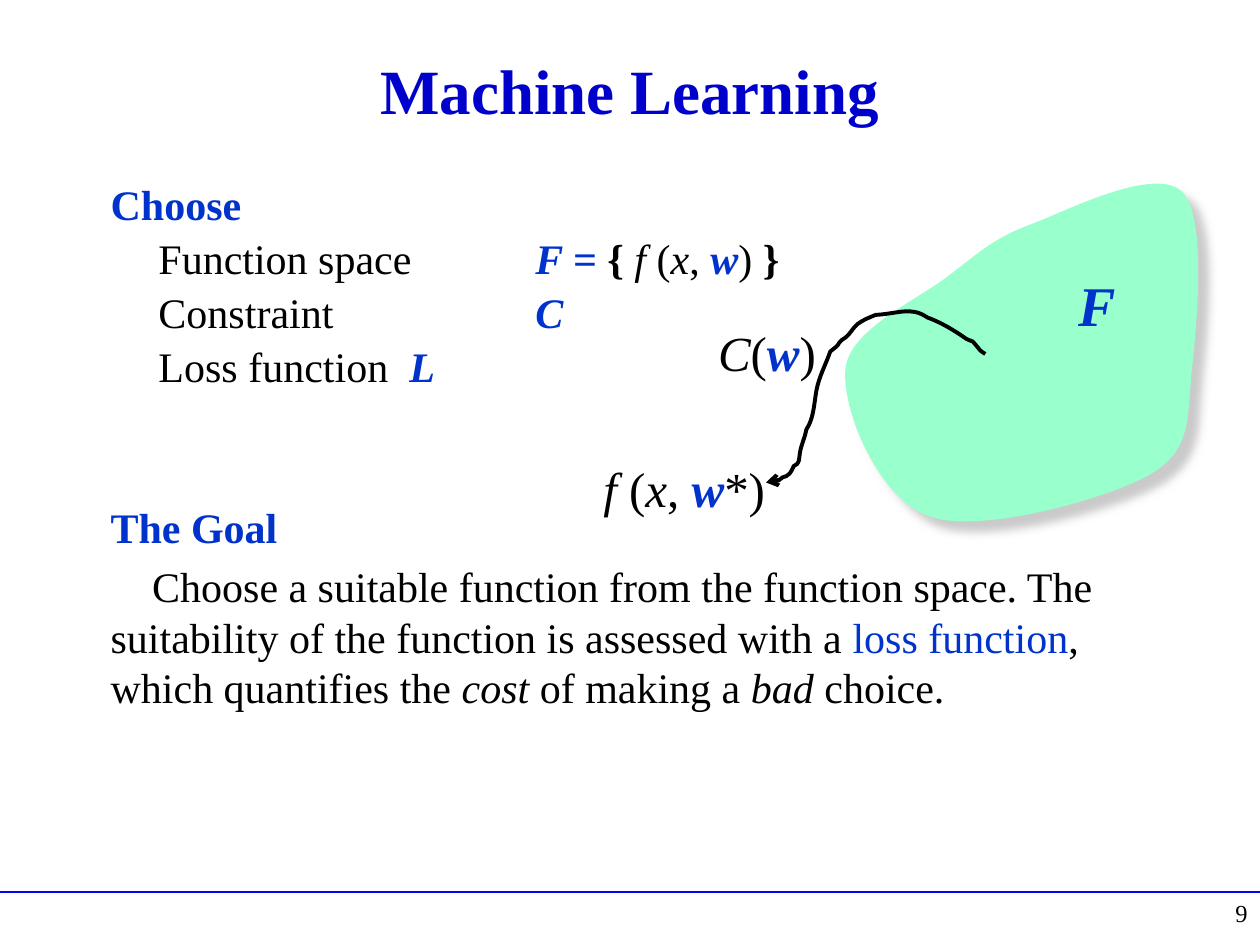
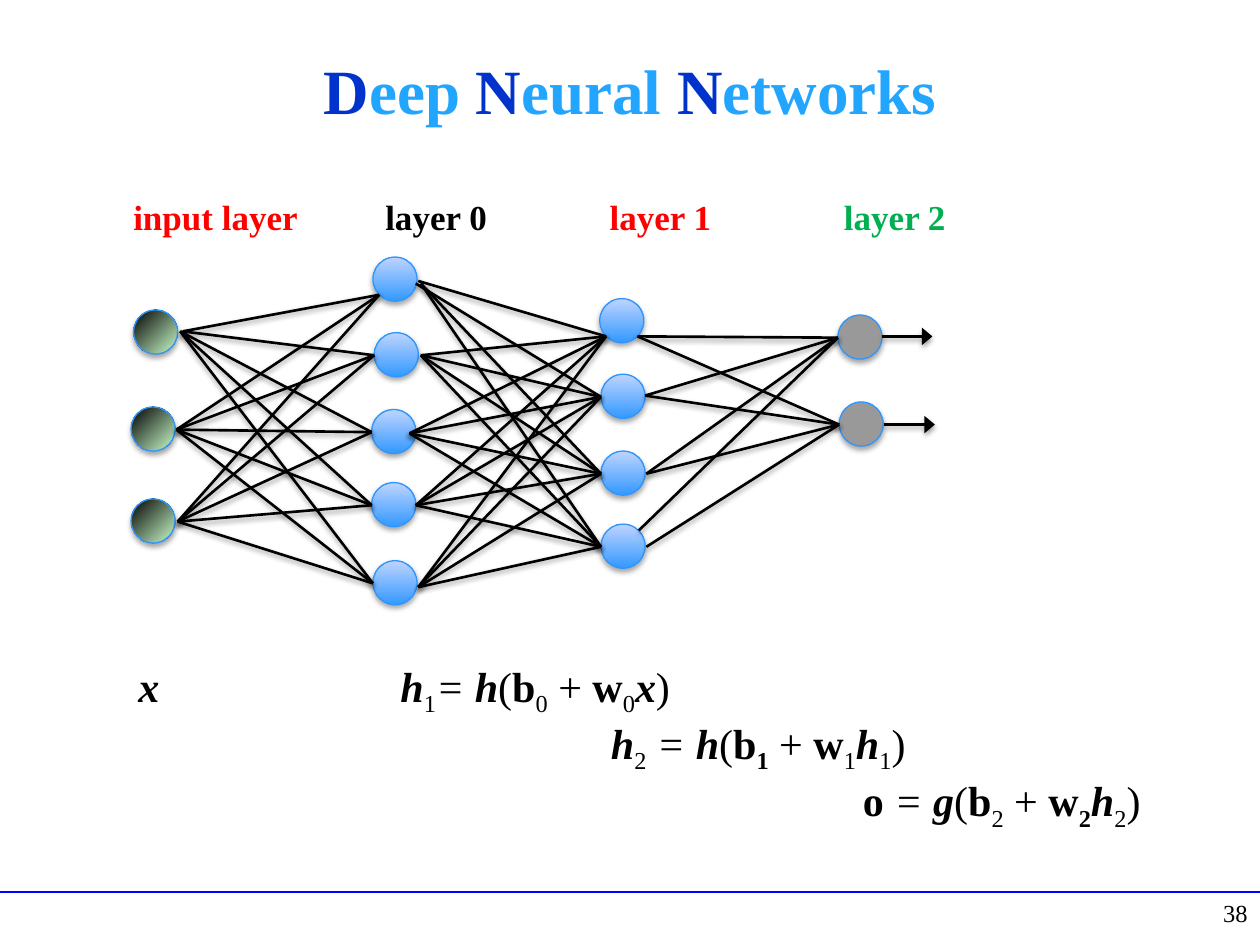
from itertools import product

from lxml.etree import SubElement
from pptx import Presentation
from pptx.dml.color import RGBColor
from pptx.enum.shapes import MSO_CONNECTOR, MSO_SHAPE
from pptx.enum.text import MSO_ANCHOR, PP_ALIGN
from pptx.oxml.ns import qn
from pptx.util import Pt

PX = 9144  # 100 px to the inch
FONT = "Times New Roman"

BLACK = RGBColor(0x00, 0x00, 0x00)
TITLE_BLUE = RGBColor(0x00, 0x00, 0xCC)
BLUE = RGBColor(0x00, 0x33, 0xCC)
SKY = RGBColor(0x22, 0xA5, 0xFF)
RULE_BLUE = RGBColor(0x00, 0x00, 0xFF)
RED = RGBColor(0xFF, 0x00, 0x00)
GREEN = RGBColor(0x00, 0xB0, 0x50)
MINT = RGBColor(0x99, 0xFF, 0xCC)
PALE_GREEN = RGBColor(0xCC, 0xFF, 0xCC)
NODE_DARK = RGBColor(0x33, 0x99, 0xFF)
NODE_LIGHT = RGBColor(0xBF, 0xD4, 0xFF)
NODE_EDGE = RGBColor(0x2D, 0x96, 0xFE)
GREY = RGBColor(0x99, 0x99, 0x99)

# Run styles
PLAIN = {}
BOLD = {"bold": True}
ITALIC = {"italic": True}
BOLD_ITALIC = {"bold": True, "italic": True}
SUB = {"baseline": -25000}
BOLD_SUB = {"bold": True, "baseline": -25000}
LINK = {"color": BLUE}
HEADING = {"bold": True, "color": BLUE}
SYMBOL = {"bold": True, "italic": True, "color": BLUE}


def add_text(slide, box, paragraphs, size, wrap=True, anchor=MSO_ANCHOR.TOP):
    """Each paragraph is a list of (text, style) runs and a dict of formats."""
    frame = slide.shapes.add_textbox(*(n * PX for n in box)).text_frame
    frame.word_wrap = wrap
    frame.vertical_anchor = anchor
    for number, (runs, formats) in enumerate(paragraphs):
        paragraph = frame.add_paragraph() if number else frame.paragraphs[0]
        properties = paragraph._p.get_or_add_pPr()
        for name, value in formats.items():
            if name == "tabs":
                stops = SubElement(properties, qn("a:tabLst"))
                for stop in value:
                    SubElement(stops, qn("a:tab"), pos=str(stop * PX), algn="l")
            elif name == "indent":
                properties.set("indent", str(value * PX))
            else:
                setattr(paragraph, name, value)
        for text, style in runs:
            run = paragraph.add_run()
            run.text = text
            values = {"name": FONT, "size": Pt(size), "bold": False, "italic": False, **style}
            run.font.color.rgb = values.pop("color", BLACK)
            if "baseline" in values:
                run._r.get_or_add_rPr().set("baseline", str(values.pop("baseline")))
            for name, value in values.items():
                setattr(run.font, name, value)


def add_shadow(shape, color=None, alpha=0, blur=0, distance=0, angle=0):
    """Replace the theme shadow by the given one, or by none."""
    effects = SubElement(shape._element.spPr, qn("a:effectLst"))
    if color:
        outer = SubElement(effects, qn("a:outerShdw"), blurRad=str(Pt(blur)), dist=str(Pt(distance)),
                           dir=str(angle * 60000), algn="tl", rotWithShape="0")
        tint = SubElement(outer, qn("a:srgbClr"), val=color)
        SubElement(tint, qn("a:alpha"), val=str(alpha * 1000))


presentation = Presentation()
presentation.slide_width, presentation.slide_height = 1000 * PX, 750 * PX

# Shared title, footer rule and page number
titles = [
    ([("Machine Learning", {"bold": True, "color": TITLE_BLUE})], "9"),
    ([(text, {"bold": True, "color": color}) for text, color in (
        ("D", BLUE), ("eep ", SKY), ("N", BLUE), ("eural ", SKY), ("N", BLUE), ("etworks", SKY))], "38"),
]
for title, page in titles:
    slide = presentation.slides.add_slide(presentation.slide_layouts[6])
    rule = slide.shapes.add_connector(MSO_CONNECTOR.STRAIGHT, 0, 708 * PX, 1000 * PX, 708 * PX)
    rule.line.color.rgb = RULE_BLUE
    rule.line.width = Pt(1)
    add_shadow(rule)
    add_text(slide, (75, 25, 850, 92), [(title, {"alignment": PP_ALIGN.CENTER})], 36,
             anchor=MSO_ANCHOR.MIDDLE)
    add_text(slide, (908, 708, 92, 42), [([(page, PLAIN)], {"alignment": PP_ALIGN.RIGHT})], 14)

learning, networks = presentation.slides

# Machine Learning: choices and goal
row = {"line_spacing": Pt(26), "space_before": Pt(4.8)}
choice = {**row, "tabs": (38, 337)}
add_text(learning, (78, 141, 850, 527), [
    ([("Choose", HEADING)], {"line_spacing": Pt(26)}),
    ([("\tFunction space\t", PLAIN), ("F = ", SYMBOL), ("{ ", BOLD), ("f ", ITALIC), ("(", PLAIN),
      ("x", ITALIC), (", ", PLAIN), ("w", SYMBOL), (") ", PLAIN), ("}", BOLD)], choice),
    ([("\tConstraint\t", PLAIN), ("C", SYMBOL)], choice),
    ([("\tLoss function\t", PLAIN), ("L", SYMBOL)], {**row, "tabs": (38, 237)}),
    ([("The Goal", HEADING)], {**row, "space_before": Pt(66)}),
    ([("Choose a suitable function from the function space. The suitability of the function "
       "is assessed with a ", PLAIN), ("loss function", LINK), (", which quantifies the ", PLAIN),
      ("cost", ITALIC), (" of making a ", PLAIN), ("bad", ITALIC), (" choice.", PLAIN)],
     {"line_spacing": Pt(28.9), "space_before": Pt(4.8), "indent": 33}),
], 24)

# Function space and the path to the chosen function: start, then Bézier triples
space_outline = [
    (754, 218), (729, 238), (674, 261), (671, 293), (668, 325), (697, 396), (738, 410),
    (778, 424), (878, 396), (912, 377), (947, 357), (942, 331), (946, 293),
    (950, 256), (958, 171), (938, 152), (917, 132), (851, 165), (821, 177),
    (790, 188), (779, 199), (754, 218)]
search_path = [
    (782, 281), (776, 277), (780, 280), (772, 271), (770, 270), (768, 270), (767, 269),
    (757, 262), (747, 256), (736, 252), (723, 243), (713, 249), (695, 250),
    (690, 252), (685, 254), (681, 257), (677, 260), (675, 265), (671, 268),
    (670, 269), (669, 269), (668, 270), (666, 271), (666, 273), (665, 274),
    (663, 276), (659, 279), (659, 279), (656, 288), (650, 299), (648, 310),
    (646, 321), (646, 332), (640, 341), (639, 347), (636, 353), (635, 359),
    (634, 365), (635, 368), (630, 370), (628, 375), (626, 378), (621, 379),
    (616, 383), (615, 383), (608, 383)]
curves = []
for points, closed in ((space_outline, True), (search_path, False)):
    builder = learning.shapes.build_freeform(*points[0], scale=PX)
    builder.add_line_segments(points[1:], close=closed)
    curve = builder.convert_to_shape()
    segments = list(curve._element.iter(qn("a:lnTo")))
    for first in range(0, len(segments), 3):
        triple = segments[first:first + 3]
        bezier = SubElement(triple[0].getparent(), qn("a:cubicBezTo"))
        triple[0].addprevious(bezier)
        for segment in triple:
            bezier.append(segment[0])
            segment.getparent().remove(segment)
    curves.append(curve)

space, search = curves
space.fill.solid()
space.fill.fore_color.rgb = MINT
space.line.fill.background()
add_shadow(space, "969696", 50, 5, 8.5, 45)
search.fill.background()
search.line.color.rgb = BLACK
search.line.width = Pt(2.25)
SubElement(search.line._get_or_add_ln(), qn("a:tailEnd"), type="arrow")
add_shadow(search)

labels = [
    ((846, 210, 50, 63), 32, [("F", SYMBOL)]),
    ((469, 359, 157, 57), 28, [("f ", ITALIC), ("(", PLAIN), ("x", ITALIC), (", ", PLAIN),
                               ("w", SYMBOL), ("*)", PLAIN)]),
    ((560, 251, 98, 57), 28, [("C", ITALIC), ("(", PLAIN), ("w", SYMBOL), (")", PLAIN)]),
]
for box, size, runs in labels:
    add_text(learning, box, [(runs, {})], size, wrap=False)

# Deep Neural Networks: formulas of the layers
formulas = [
    ((42, 250), [("\tx\t", BOLD_ITALIC), ("h", BOLD_ITALIC), ("1", SUB), ("= ", ITALIC),
                 ("h", BOLD_ITALIC), ("(", PLAIN), ("b", BOLD), ("0", SUB), (" + ", PLAIN),
                 ("w", BOLD), ("0", SUB), ("x", BOLD_ITALIC), (")", PLAIN)]),
    ((417,), [("\th", BOLD_ITALIC), ("2", SUB), (" = ", ITALIC), ("h", BOLD_ITALIC), ("(", PLAIN),
              ("b", BOLD), ("1", BOLD_SUB), (" + ", PLAIN), ("w", BOLD), ("1", SUB),
              ("h", BOLD_ITALIC), ("1", SUB), (")", PLAIN)]),
    ((617,), [("\to", BOLD), (" = ", ITALIC), ("g", BOLD_ITALIC), ("(", PLAIN), ("b", BOLD),
              ("2", SUB), (" + ", PLAIN), ("w", BOLD), ("2", BOLD_SUB), ("h", BOLD_ITALIC),
              ("2", SUB), (")", PLAIN)]),
]
add_text(networks, (58, 519, 905, 131),
         [(runs, {"line_spacing": Pt(32.7), "tabs": tabs}) for tabs, runs in formulas], 24)

# Layer names
layer_names = (("input layer", RED), ("layer 0", BLACK), ("layer 1", RED), ("layer 2", GREEN))
add_text(networks, (90, 150, 873, 44),
         [([("\t" + name, {"bold": True, "color": color}) for name, color in layer_names],
           {"tabs": (6, 206, 384, 570)})], 20)

# Nodes
NODE = 35
layers = [
    ((PALE_GREEN, BLACK), [(106, 246), (104, 323), (104, 396)]),
    ((NODE_DARK, NODE_LIGHT), [(296, 204), (297, 264), (295, 325), (295, 383), (296, 445)]),
    ((NODE_DARK, NODE_LIGHT), [(476, 237), (477, 297), (477, 358), (477, 416)]),
    ((GREY,), [(665, 250), (666, 319)]),
]
for colors, corners in layers:
    for left, top in corners:
        node = networks.shapes.add_shape(MSO_SHAPE.OVAL, left * PX, top * PX, NODE * PX, NODE * PX)
        if len(colors) == 1:
            node.fill.solid()
            node.fill.fore_color.rgb = colors[0]
        else:
            node.fill.gradient()
            node.fill.gradient_angle = 90
            for stop, color in zip(node.fill.gradient_stops, colors):
                stop.color.rgb = color
        if BLACK in colors:  # input nodes shade from one corner
            gradient = node._element.spPr.find(qn("a:gradFill"))
            gradient.remove(gradient.find(qn("a:lin")))
            radial = SubElement(gradient, qn("a:path"), {"path": "circle"})
            SubElement(radial, qn("a:fillToRect"), l="100000", t="100000")
        node.line.color.rgb = NODE_EDGE
        node.line.width = Pt(0.75)
        add_shadow(node, "000000", 35, 3.1, 1.8, 90)

# Links: every exit of a layer joins every entry of the next
input_exits = [(140, 341), (141, 414)]
layer0_entries = [(301, 234), (297, 282), (295, 343), (295, 401), (296, 463)]
top_exits = [(332, 223), (330, 225), (334, 225), (334, 225)]
layer0_exits = [(334, 282), (325, 344), (330, 401), (332, 466)]
layer1_entries = [(481, 267), (477, 315), (477, 376), (477, 434)]
layer1_exits = [(506, 267), (512, 314), (513, 376)]
links = [
    *product([(145, 263)], layer0_entries[:2]),
    *product([(143, 263)], layer0_entries[2:]),
    *product(input_exits, layer0_entries),
    *zip(top_exits, layer1_entries),
    *product(layer0_exits, layer1_entries),
    *product(layer1_exits + [(507, 421)], [(665, 268)]),
    *product(layer1_exits + [(513, 434)], [(666, 337)]),
]
outputs = [((700, 267), (740, 267)), ((702, 337), (742, 337))]
for start, end in links + outputs:
    link = networks.shapes.add_connector(MSO_CONNECTOR.STRAIGHT, *(n * PX for n in start + end))
    link.line.color.rgb = BLACK
    link.line.width = Pt(1.5)
    if (start, end) in outputs:
        SubElement(link.line._get_or_add_ln(), qn("a:tailEnd"), type="triangle", w="lg")
    add_shadow(link, "000000", 38, 3.1, 1.6, 90)

presentation.save("out.pptx")
